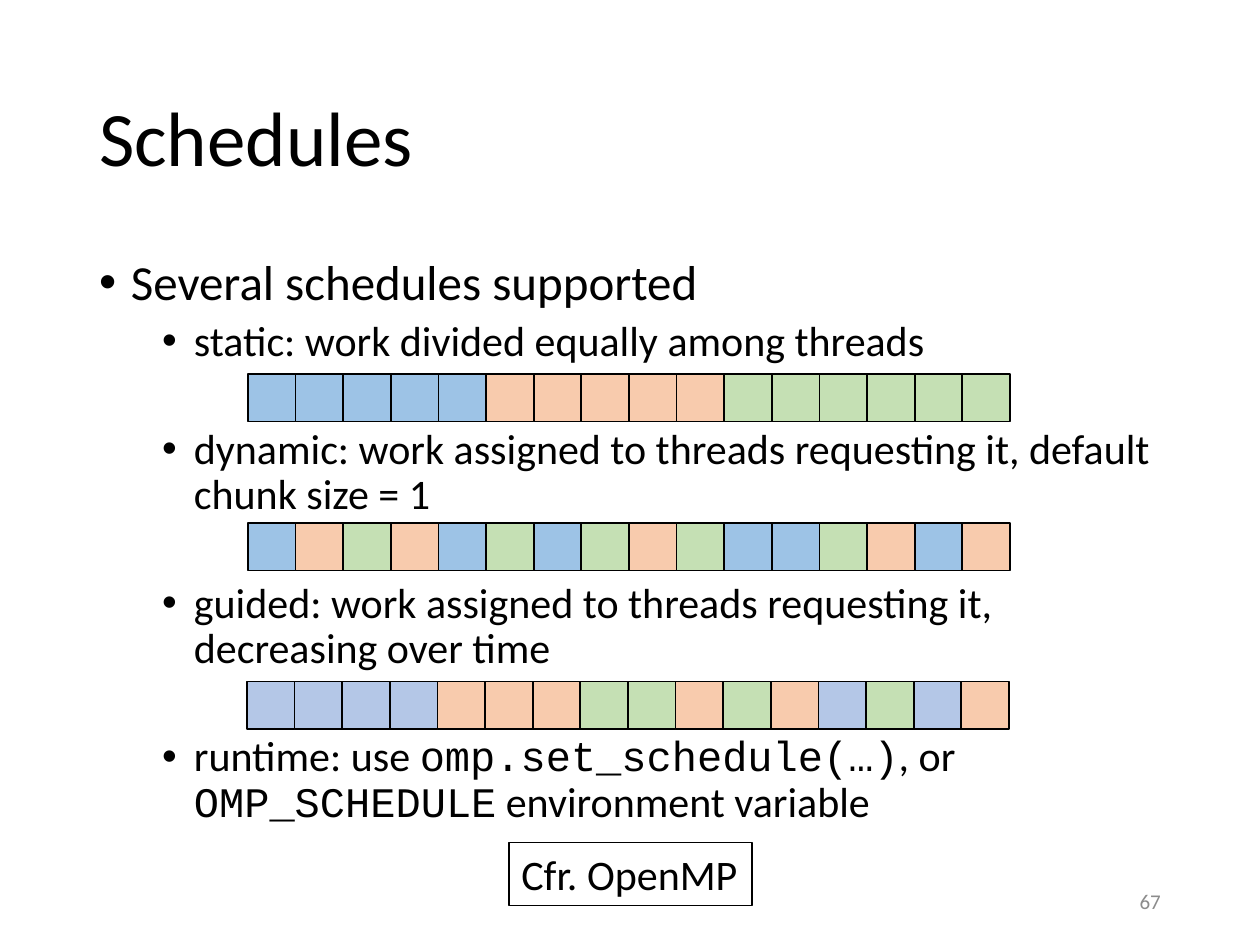
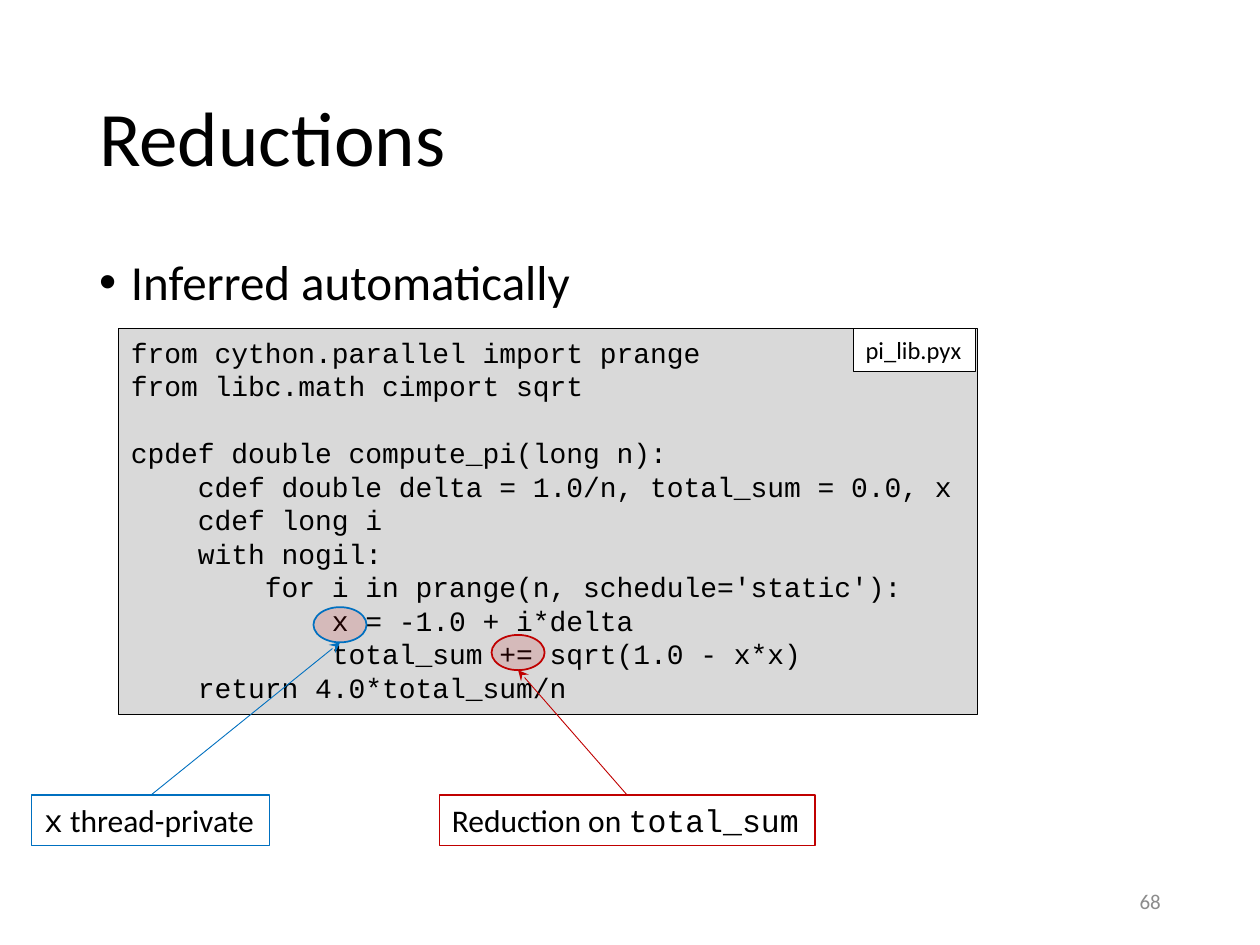
from collections import namedtuple

from lxml.etree import SubElement
from pptx import Presentation
from pptx.dml.color import RGBColor
from pptx.enum.shapes import MSO_CONNECTOR, MSO_SHAPE
from pptx.enum.text import MSO_ANCHOR, PP_ALIGN
from pptx.oxml.ns import qn
from pptx.util import Cm, Pt

Box = namedtuple("Box", "left top width height")
Item = namedtuple("Item", "runs level before", defaults=(0, 0))

BODY_FONT, CODE_FONT = "Calibri", "Courier New"
BLACK, WHITE, GREY, CODE_GREY = "000000", "FFFFFF", "8C8C8C", "D9D9D9"
RED, BLUE = "C00000", "0070C0"
THREAD_COLOURS = {"B": "9DC3E6", "O": "F8CBAD", "G": "C5E0B4", "P": "B4C7E7"}

TITLE = Box(1.75, 1.02, 21.9, 3.68)
BODY = Box(1.75, 5.08, 21.9, 12.09)
NUMBER = Box(17.93, 17.65, 5.72, 1.02)
CELL = 0.96
MARK = (1.07, 0.71)
LEVEL_SIZES = (28, 24)
STRIP_GAP = 36

SCHEDULES = [
    Item("Several schedules supported"),
    Item("static: work divided equally among threads", 1, 5),
    Item("dynamic: work assigned to threads requesting it, default chunk size = 1", 1, STRIP_GAP),
    Item("guided: work assigned to threads requesting it, decreasing over time", 1, STRIP_GAP),
    Item([("runtime: use ", BODY_FONT), ("omp.set_schedule(…)", CODE_FONT), (", or ", BODY_FONT),
          ("OMP_SCHEDULE", CODE_FONT), (" environment variable", BODY_FONT)], 1, STRIP_GAP),
]
STRIPS = [
    (5.0, 7.54, "BBBBBOOOOOGGGGGG"),
    (5.0, 10.54, "BOGOBGBGOGBBGOBO"),
    (4.98, 13.74, "PPPPOOOGGOGOPGPO"),
]
CODE = """from cython.parallel import prange
from libc.math cimport sqrt

cpdef double compute_pi(long n):
    cdef double delta = 1.0/n, total_sum = 0.0, x
    cdef long i
    with nogil:
        for i in prange(n, schedule='static'):
            x = -1.0 + i*delta
            total_sum += sqrt(1.0 - x*x)
    return 4.0*total_sum/n"""


def colour(hex_string):
    """Turn a hex string into a colour."""
    return RGBColor.from_string(hex_string)


def lengths(box):
    """Give the four sides of a box in centimetres as lengths."""
    return [Cm(side) for side in box]


def outline(shape, line, width):
    """Set the colour and width of a line."""
    shape.line.color.rgb = colour(line)
    shape.line.width = Pt(width)


def add_bullet(paragraph, level):
    """Give a paragraph a hanging bullet for its level."""
    paragraph.level = level
    properties = paragraph._p.get_or_add_pPr()
    properties.set("marL", str(Cm(0.64 + 1.27 * level)))
    properties.set("indent", str(-Cm(0.64)))
    SubElement(properties, qn("a:buFont"), typeface="Arial")
    SubElement(properties, qn("a:buChar"), char="•")


def add_text(slide, box, items, size=24, font=BODY_FONT, ink=BLACK, align=PP_ALIGN.LEFT,
             anchor=MSO_ANCHOR.TOP, wrap=True, spacing=None, bullets=False,
             fill=None, line=None):
    """Add a text box with one paragraph per item."""
    area = slide.shapes.add_textbox(*lengths(box))
    if fill:
        area.fill.solid()
        area.fill.fore_color.rgb = colour(fill)
    if line:
        outline(area, line, 0.75)
    frame = area.text_frame
    frame.word_wrap = wrap
    frame.vertical_anchor = anchor
    for index, item in enumerate(items):
        paragraph = frame.paragraphs[0] if index == 0 else frame.add_paragraph()
        paragraph.alignment = align
        if spacing:
            paragraph.line_spacing = spacing
        if item.before:
            paragraph.space_before = Pt(item.before)
        if bullets:
            add_bullet(paragraph, item.level)
        runs = [(item.runs, font)] if isinstance(item.runs, str) else item.runs
        for words, typeface in runs:
            run = paragraph.add_run()
            run.text = words
            run.font.name = typeface
            run.font.size = Pt(LEVEL_SIZES[item.level] if bullets else size)
            run.font.color.rgb = colour(ink)
    return area


def add_preset(slide, preset, box, fill, line, opacity=None):
    """Add a filled preset shape with a thin outline."""
    shape = slide.shapes.add_shape(preset, *lengths(box))
    shape.shadow.inherit = False
    shape.fill.solid()
    shape.fill.fore_color.rgb = colour(fill)
    outline(shape, line, 1)
    if opacity:
        tint = shape._element.spPr.find(qn("a:solidFill"))[0]
        SubElement(tint, qn("a:alpha"), val=str(opacity * 1000))


def add_strip(slide, left, top, threads):
    """Draw a row of work items coloured by thread."""
    for index, thread in enumerate(threads):
        cell = Box(left + index * CELL, top, CELL, CELL)
        add_preset(slide, MSO_SHAPE.RECTANGLE, cell, THREAD_COLOURS[thread], BLACK)


def add_code(slide, box, code, file_name):
    """Show a code listing with its file name in the top right corner."""
    items, before = [], 0
    for row in code.split("\n"):
        if row:
            items.append(Item(row, before=before))
        before = 0 if row else 19
    add_text(slide, box, items, size=16, font=CODE_FONT, wrap=False, fill=CODE_GREY, line=BLACK)
    tag = Box(box.left + box.width - 2.51, box.top, 2.46, 0.86)
    add_text(slide, tag, [Item(file_name)], size=14, wrap=False, fill=WHITE, line=BLACK)


def add_callout(slide, mark_left, mark_top, label_box, runs, line):
    """Circle a piece of code and point to it from a label."""
    mark = Box(mark_left, mark_top, *MARK)
    add_preset(slide, MSO_SHAPE.OVAL, mark, RED, line, opacity=14)
    label = add_text(slide, label_box, [Item(runs)], size=18, wrap=False, line=line)
    tip = Cm(mark.left + mark.width / 2), Cm(mark.top + mark.height)
    arrow = slide.shapes.add_connector(MSO_CONNECTOR.STRAIGHT, *tip, *tip)
    arrow.begin_connect(label, 0)
    outline(arrow, line, 0.5)
    SubElement(arrow.line._get_or_add_ln(), qn("a:tailEnd"), type="stealth")
    SubElement(arrow._element.spPr, qn("a:effectLst"))


def add_page(deck, title, items, number):
    """Add a slide with its title, bullets and number."""
    slide = deck.slides.add_slide(deck.slide_layouts[6])
    add_text(slide, TITLE, [Item(title)], size=44, anchor=MSO_ANCHOR.MIDDLE, spacing=0.9)
    add_text(slide, BODY, items, spacing=0.9, bullets=True)
    add_text(slide, NUMBER, [Item(str(number))], size=12, ink=GREY, align=PP_ALIGN.RIGHT,
             anchor=MSO_ANCHOR.MIDDLE)
    return slide


def add_schedules(deck):
    """Build the slide on loop schedules."""
    slide = add_page(deck, "Schedules", SCHEDULES, 67)
    for strip in STRIPS:
        add_strip(slide, *strip)
    add_text(slide, Box(10.26, 16.99, 4.9, 1.27), [Item("Cfr. OpenMP")], wrap=False, line=BLACK)


def add_reductions(deck):
    """Build the slide on reductions."""
    slide = add_page(deck, "Reductions", [Item("Inferred automatically")], 68)
    add_code(slide, Box(2.39, 6.63, 17.32, 7.77), CODE, "pi_lib.pyx")
    add_callout(slide, 9.91, 12.8, Box(8.86, 16.03, 7.57, 1.02),
                [("Reduction on ", BODY_FONT), ("total_sum", CODE_FONT)], RED)
    add_callout(slide, 6.32, 12.24, Box(0.64, 16.03, 4.8, 1.02),
                [("x", CODE_FONT), (" thread-private", BODY_FONT)], BLUE)


def main():
    """Build and save the deck."""
    deck = Presentation()
    deck.slide_width, deck.slide_height = Cm(25.4), Cm(19.05)
    add_schedules(deck)
    add_reductions(deck)
    deck.save("out.pptx")


if __name__ == "__main__":
    main()
